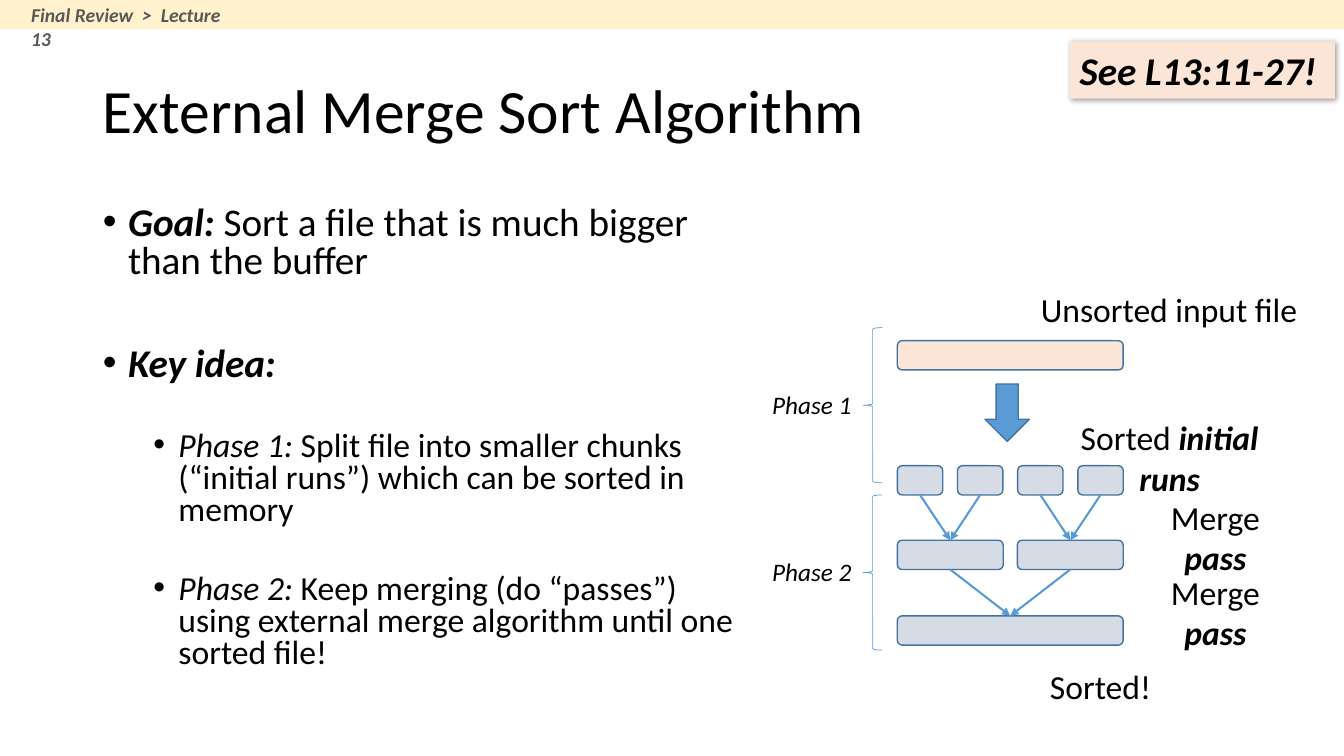
from lxml.etree import SubElement
from pptx import Presentation
from pptx.dml.color import RGBColor
from pptx.enum.shapes import MSO_CONNECTOR, MSO_SHAPE
from pptx.enum.text import MSO_ANCHOR, MSO_AUTO_SIZE, PP_ALIGN
from pptx.oxml.ns import qn
from pptx.util import Inches, Pt

BLACK = RGBColor(0x00, 0x00, 0x00)
GRAY = RGBColor(0x59, 0x59, 0x59)
CREAM = RGBColor(0xFF, 0xF2, 0xCC)
PEACH = RGBColor(0xFB, 0xE5, 0xD6)
SLATE = RGBColor(0xD6, 0xDC, 0xE5)
BLUE = RGBColor(0x5B, 0x9B, 0xD5)
NAVY = RGBColor(0x43, 0x73, 0x9E)


def add_run(p, text, size=24, bold=False, italic=False, color=BLACK, font="Calibri"):
    """Append one formatted run to a paragraph."""
    r = p.add_run()
    r.text = text
    r.font.name, r.font.size = font, Pt(size)
    r.font.bold, r.font.italic = bold, italic
    r.font.color.rgb = color


class SlideBuilder:
    """Hold the slide and its style, and add each kind of element."""

    def __init__(self, prs):
        self.s = prs.slides.add_slide(prs.slide_layouts[1])
        self.outline = NAVY
        self.accent = BLUE

    def place(self, sp, box):
        sp.left, sp.top, sp.width, sp.height = map(Inches, box)
        sp.text_frame.auto_size = MSO_AUTO_SIZE.NONE
        sp.text_frame.word_wrap = True
        return sp.text_frame

    def title(self, text, box):
        tf = self.place(self.s.shapes.title, box)
        tf.vertical_anchor = MSO_ANCHOR.MIDDLE
        p = tf.paragraphs[0]
        p.alignment, p.line_spacing = PP_ALIGN.LEFT, 0.9
        add_run(p, text, size=44)

    def bullets(self, items, box):
        tf = self.place(self.s.placeholders[1], box)
        for i, (level, before, lead, rest) in enumerate(items):
            p = tf.add_paragraph() if i else tf.paragraphs[0]
            p.level, p.line_spacing, p.space_before = level, 0.8, Pt(before)
            pPr = p._p.get_or_add_pPr()
            pPr.set("marL", str(Inches(0.25 + 0.5 * level)))
            pPr.set("indent", str(-Inches(0.25)))
            SubElement(pPr, qn("a:buFont"), typeface="Arial")
            SubElement(pPr, qn("a:buChar"), char="•")
            size = 28 - 4 * level
            add_run(p, lead, size=size, bold=level == 0, italic=True)
            if rest:
                add_run(p, rest, size=size)

    def label(self, box, text, strong="", align=PP_ALIGN.CENTER, **fmt):
        sp = self.s.shapes.add_textbox(*map(Inches, box))
        p = self.place(sp, box).paragraphs[0]
        p.alignment = align
        add_run(p, text, **fmt)
        if strong:
            add_run(p, strong, bold=True, italic=True)

    def shape(self, kind, box, fill=None, line=None, width=1):
        sp = self.s.shapes.add_shape(kind, *map(Inches, box))
        sp.shadow.inherit = False
        if fill is None:
            sp.fill.background()
        else:
            sp.fill.solid()
            sp.fill.fore_color.rgb = fill
        if line is None:
            sp.line.fill.background()
        else:
            sp.line.color.rgb, sp.line.width = line, Pt(width)
        return sp

    def run_box(self, box, fill=SLATE):
        return self.shape(MSO_SHAPE.ROUNDED_RECTANGLE, box, fill, self.outline)

    def phase(self, name, top, label_top):
        self.shape(MSO_SHAPE.LEFT_BRACE, (8.56, top, 0.19, 1.54), line=self.accent, width=0.5)
        self.label((7.56, label_top, 1, 0.4), name, align=PP_ALIGN.LEFT, size=18, italic=True)

    def arrow(self, source, target):
        c = self.s.shapes.add_connector(MSO_CONNECTOR.STRAIGHT, 0, 0, 0, 0)
        c.begin_connect(source, 2)
        c.end_connect(target, 0)
        c.line.color.rgb, c.line.width = self.accent, Pt(1.5)
        SubElement(c.line._get_or_add_ln(), qn("a:tailEnd"), type="triangle")
        SubElement(c._element.spPr, qn("a:effectLst"))

    def note(self, text, box):
        sp = self.shape(MSO_SHAPE.RECTANGLE, box, PEACH)
        effects = sp._element.spPr.find(qn("a:effectLst"))
        shadow = SubElement(effects, qn("a:outerShdw"), blurRad=str(Pt(4)),
                            dist=str(Pt(1)), dir="2700000", rotWithShape="0")
        color = SubElement(shadow, qn("a:srgbClr"), val="000000")
        SubElement(color, qn("a:alpha"), val="40000")
        p = self.place(sp, box).paragraphs[0]
        p.alignment = PP_ALIGN.LEFT
        add_run(p, text, size=28, bold=True, italic=True)


def main():
    prs = Presentation()
    prs.slide_width, prs.slide_height = Inches(13.33), Inches(7.5)
    b = SlideBuilder(prs)

    b.title("External Merge Sort Algorithm", (0.92, 0.4, 11.5, 1.45))
    b.bullets([
        (0, 10, "Goal: ", "Sort a file that is much bigger than the buffer"),
        (0, 47, "Key idea:", ""),
        (1, 33, "Phase 1: ", "Split file into smaller chunks (“initial runs”) "
                             "which can be sorted in memory"),
        (1, 33, "Phase 2: ", "Keep merging (do “passes”) using external merge "
                             "algorithm until one sorted file!"),
    ], (0.92, 2, 6.65, 4.76))

    b.shape(MSO_SHAPE.RECTANGLE, (0, 0, 13.33, 0.29), CREAM)
    b.label((0.21, -0.02, 2.27, 0.34), "Final Review  >  Lecture 13",
            align=PP_ALIGN.LEFT, size=14, bold=True, italic=True, color=GRAY)

    left, width, height = 8.9, 2.24, 0.29

    def row(count, box_width, top):
        step = (width - box_width) / max(count - 1, 1)
        return [b.run_box((left + i * step, top, box_width, height)) for i in range(count)]

    b.run_box((left, 3.38, width, height), PEACH)
    b.shape(MSO_SHAPE.DOWN_ARROW, (9.77, 3.81, 0.44, 0.57), BLUE, NAVY)
    rows = [row(4, 0.45, 4.62), row(2, 1.05, 5.36), row(1, width, 6.11)]
    for sources, targets in zip(rows, rows[1:]):
        for i, source in enumerate(sources):
            b.arrow(source, targets[i // 2])

    b.phase("Phase 1", 3.25, 3.81)
    b.phase("Phase 2", 4.91, 5.47)
    b.label((10.21, 2.82, 2.77, 0.5), "Unsorted input file")
    b.label((10.31, 4.09, 2.58, 0.5), "Sorted ", "initial runs")
    for top in (4.88, 5.62):
        b.label((11.18, top, 1.75, 0.5), "Merge ", "pass")
    b.label((10.31, 6.56, 1.21, 0.5), "Sorted!")
    b.note("See L13:11-27!", (10.61, 0.41, 2.63, 0.57))

    prs.save("out.pptx")


if __name__ == "__main__":
    main()
